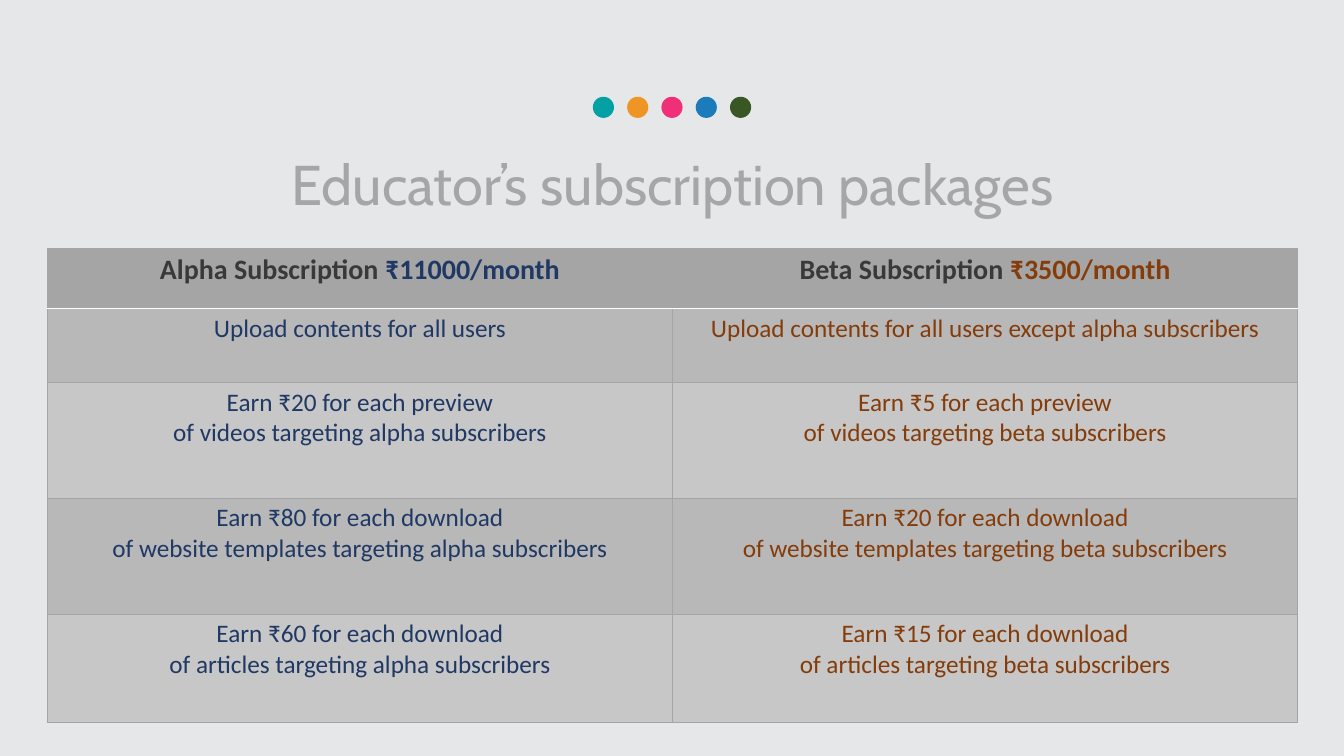
import dataclasses

import lxml.etree
import pptx
import pptx.dml.color
import pptx.enum.shapes
import pptx.enum.text
import pptx.oxml.ns
import pptx.util

Inches = pptx.util.Inches
GRAY, WHITE = "A5A5A5", "FFFFFF"
ROW_FILLS = ("B8B8B8", "C7C7C7")
DOT_COLORS = ("03A1A4", "EE9524", "EF3078", "1C7CBB", "385723")
ROW_HEIGHTS = (0.6, 0.73, 1.15, 1.15, 1.08)
COLUMN_WIDTH = 6.2


@dataclasses.dataclass
class Package:
    name: str
    price: str
    color: str
    benefits: list[list[str]]


def earning_benefits(audience: str, preview: int, template: int, article: int) -> list[list[str]]:
    offers = (
        (preview, "preview", "videos"),
        (template, "download", "website templates"),
        (article, "download", "articles"),
    )
    return [
        [f"Earn ₹{amount} for each {action}", f"of {content} targeting {audience} subscribers"]
        for amount, action, content in offers
    ]


PACKAGES = (
    Package("Alpha", "₹11000/month", "203864",
            [["Upload contents for all users"], *earning_benefits("alpha", 20, 80, 60)]),
    Package("Beta", "₹3500/month", "843C0B",
            [["Upload contents for all users except alpha subscribers"],
             *earning_benefits("beta", 5, 20, 15)]),
)


def rgb(color: str) -> pptx.dml.color.RGBColor:
    return pptx.dml.color.RGBColor.from_string(color)


def add_run(paragraph, text: str, color: str, size: int, name: str = "Calibri", bold: bool = False) -> None:
    paragraph.alignment = pptx.enum.text.PP_ALIGN.CENTER
    run = paragraph.add_run()
    run.text = text
    run.font.color.rgb = rgb(color)
    formats = {"size": pptx.util.Pt(size), "name": name, "bold": bold}
    for attribute, value in formats.items():
        setattr(run.font, attribute, value)


def set_border(cell, side: str, color: str, width: float) -> None:
    properties = cell._tc.get_or_add_tcPr()
    line = lxml.etree.SubElement(properties, pptx.oxml.ns.qn(f"a:ln{side}"), w=str(pptx.util.Pt(width)))
    fill = lxml.etree.SubElement(line, pptx.oxml.ns.qn("a:solidFill"))
    lxml.etree.SubElement(fill, pptx.oxml.ns.qn("a:srgbClr"), val=color)


def style_cell(cell, row: int, fill: str) -> None:
    # The white rule lies between the header and the first benefit
    white_side = {0: "B", 1: "T"}.get(row)
    for side in "LRTB":
        if side == white_side:
            set_border(cell, side, WHITE, 1)
        else:
            set_border(cell, side, GRAY, 0.5)
    cell.fill.solid()
    cell.fill.fore_color.rgb = rgb(fill)


def add_dots(slide) -> None:
    group = slide.shapes.add_group_shape()
    for index, color in enumerate(DOT_COLORS):
        dot = group.shapes.add_shape(
            pptx.enum.shapes.MSO_SHAPE.OVAL,
            Inches(5.88 + 0.34 * index), Inches(0.96), Inches(0.21), Inches(0.21))
        dot.shadow.inherit = False
        dot.fill.solid()
        dot.fill.fore_color.rgb = rgb(color)
        dot.line.fill.background()


def add_title(slide) -> None:
    title = slide.shapes.add_textbox(Inches(2.69), Inches(1.43), Inches(7.96), Inches(0.77))
    title.text_frame.word_wrap = True
    add_run(title.text_frame.paragraphs[0], "Educator’s subscription packages", "A6A6A6", 40, "Cabin")


def add_package_table(slide) -> None:
    table = slide.shapes.add_table(
        len(ROW_HEIGHTS), len(PACKAGES), Inches(0.47), Inches(2.46),
        Inches(COLUMN_WIDTH * len(PACKAGES)), Inches(sum(ROW_HEIGHTS))).table
    for row, height in zip(table.rows, ROW_HEIGHTS):
        row.height = Inches(height)
    for column, package in enumerate(PACKAGES):
        table.columns[column].width = Inches(COLUMN_WIDTH)
        # Header with name and price
        header = table.cell(0, column)
        style_cell(header, 0, GRAY)
        paragraph = header.text_frame.paragraphs[0]
        add_run(paragraph, f"{package.name} Subscription ", "3B3838", 20, bold=True)
        add_run(paragraph, package.price, package.color, 20, bold=True)
        # Benefits
        for row, lines in enumerate(package.benefits, start=1):
            cell = table.cell(row, column)
            style_cell(cell, row, ROW_FILLS[(row - 1) % 2])
            for index, text in enumerate(lines):
                frame = cell.text_frame
                paragraph = frame.add_paragraph() if index else frame.paragraphs[0]
                add_run(paragraph, text, package.color, 18)


presentation = pptx.Presentation()
presentation.slide_width = Inches(13.33)
presentation.slide_height = Inches(7.5)
slide = presentation.slides.add_slide(presentation.slide_layouts[6])
slide.background.fill.solid()
slide.background.fill.fore_color.rgb = rgb("E6E7E9")
add_dots(slide)
add_package_table(slide)
add_title(slide)
presentation.save("out.pptx")
